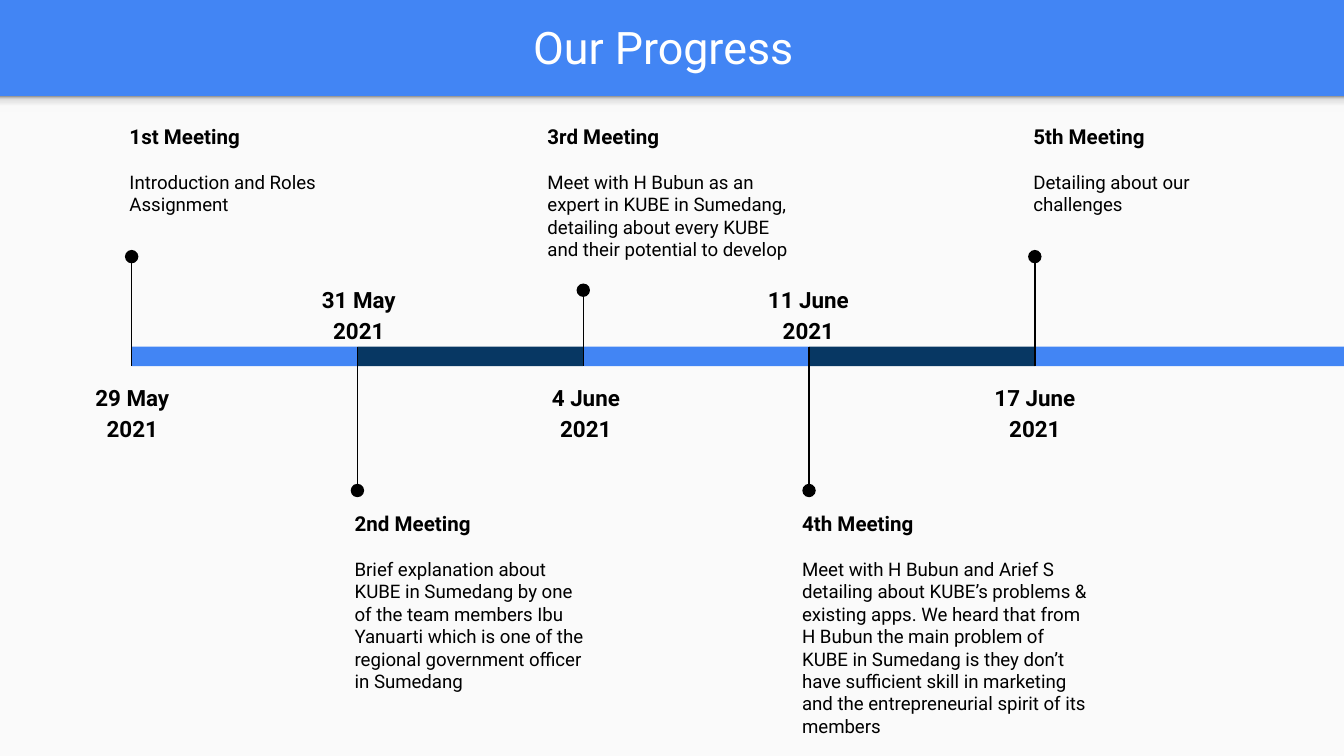
from dataclasses import dataclass
from lxml import etree
from pptx import Presentation
from pptx.dml.color import RGBColor
from pptx.enum.shapes import MSO_CONNECTOR, MSO_SHAPE
from pptx.enum.text import MSO_ANCHOR, PP_ALIGN
from pptx.oxml.ns import qn
from pptx.util import Pt

PX = 4572
PAGE_WIDTH, PAGE_HEIGHT = 2000, 1125
RECTANGLE, ELLIPSE = MSO_SHAPE.RECTANGLE, MSO_SHAPE.OVAL
STRAIGHT = MSO_CONNECTOR.STRAIGHT
CENTER, LEFT = PP_ALIGN.CENTER, PP_ALIGN.LEFT
TOP, MIDDLE = MSO_ANCHOR.TOP, MSO_ANCHOR.MIDDLE


@dataclass(frozen=True)
class Theme:
    """Colours, font and type sizes of the deck."""
    font: str = "Roboto"
    blue: str = "4285F4"
    navy: str = "073763"
    paper: str = "FAFAFA"
    ink: str = "000000"
    white: str = "FFFFFF"
    shade: tuple = ((0, "F9F9F9"), (36, "F9F9F9"), (80, "DEDEDE"), (100, "999999"))
    title: int = 24
    date: int = 12
    heading: int = 11
    body: int = 10


@dataclass(frozen=True)
class Meeting:
    """One milestone, with box positions relative to its bar."""
    heading: str
    body: str
    date: str
    note_left: int
    note_width: int
    date_left: int
    date_width: int
    dot_top: int


THEME = Theme()
ABOVE, ABOVE_LOW, BELOW = -144, -94, 204
BAR_LEFT, BAR_TOP, BAR_HEIGHT, BAR_STEP = 196, 516, 29, 336
DOT, INSET = 20, 20
MEETINGS = (
    Meeting("1st Meeting", "Introduction and Roles Assignment", "29 May 2021",
            -23, 390, -94, 190, ABOVE),
    Meeting("2nd Meeting", "Brief explanation about KUBE in Sumedang by one of the team "
            "members Ibu Yanuarti which is one of the regional government officer in Sumedang",
            "31 May 2021", -24, 390, -80, 164, BELOW),
    Meeting("3rd Meeting", "Meet with H Bubun as an expert in KUBE in Sumedang, detailing "
            "about every KUBE and their potential to develop",
            "4 June 2021", -73, 408, -72, 152, ABOVE_LOW),
    Meeting("4th Meeting", "Meet with H Bubun and Arief S detailing about KUBE’s problems & "
            "existing apps. We heard that from H Bubun the main problem of KUBE in Sumedang "
            "is they don’t have sufficient skill in marketing and the entrepreneurial spirit "
            "of its members", "11 June 2021", -30, 468, -83, 164, BELOW),
    Meeting("5th Meeting", "Detailing about our challenges", "17 June 2021",
            -22, 390, -82, 164, ABOVE),
)


def scaled(*lengths):
    """Turn px lengths into EMU."""
    return [length * PX for length in lengths]


def add_block(page, kind, box, color):
    """Add a plain filled shape without outline or shadow."""
    shape = page.shapes.add_shape(kind, *scaled(*box))
    shape.shadow.inherit = False
    shape.fill.solid()
    shape.fill.fore_color.rgb = RGBColor.from_string(color)
    shape.line.fill.background()
    return shape


def add_text(page, box, lines, align=LEFT, anchor=TOP, spacing=None, gap=0):
    """Add a wrapped text box of (text, size, bold, colour) paragraphs."""
    frame = page.shapes.add_textbox(*scaled(*box)).text_frame
    frame.word_wrap = True
    frame.vertical_anchor = anchor
    frame.margin_left = frame.margin_right = INSET * PX
    frame.margin_top = frame.margin_bottom = INSET * PX
    for index, (text, size, bold, color) in enumerate(lines):
        para = frame.add_paragraph() if index else frame.paragraphs[0]
        para.text = text
        para.alignment = align
        if spacing:
            para.line_spacing = spacing
        if index:
            para.space_before = Pt(gap)
        para.font.name = THEME.font
        para.font.size = Pt(size)
        para.font.bold = bold
        para.font.color.rgb = RGBColor.from_string(color)


def add_stem(page, x, start, end):
    """Add a thin vertical line."""
    stem = page.shapes.add_connector(STRAIGHT, *scaled(x, start, x, end))
    stem.line.color.rgb = RGBColor.from_string(THEME.ink)
    stem.line.width = Pt(0.75)
    etree.SubElement(stem._element.spPr, qn("a:effectLst"))


def add_header(page, left, top, width, height):
    """Place the title band, the paper below it and the shaded edge between."""
    bottom = top + height
    add_block(page, RECTANGLE, (left, bottom, width, PAGE_HEIGHT - bottom), THEME.paper)
    edge = add_block(page, RECTANGLE, (left, bottom, width, 24), THEME.paper)
    edge.fill.gradient()
    edge.fill.gradient_angle = 90
    stops = edge._element.spPr.find(qn("a:gradFill")).find(qn("a:gsLst"))
    for stop in list(stops):
        stops.remove(stop)
    for percent, color in THEME.shade:
        stop = etree.SubElement(stops, qn("a:gs"), pos=str(percent * 1000))
        etree.SubElement(stop, qn("a:srgbClr"), val=color)
    add_text(page, (left + 22, top + 4, width - 70, height - 11),
             [("Our Progress", THEME.title, False, THEME.white)], CENTER, MIDDLE)


def add_milestone(page, meeting, color, left, top, width, height):
    """Place a bar with its stem, dot, date and note."""
    below = meeting.dot_top > 0
    add_block(page, RECTANGLE, (left, top, width, height), color)
    dot_top = top + meeting.dot_top
    if below:
        add_stem(page, left, dot_top, top)
    else:
        add_stem(page, left, dot_top + DOT, top + height)
    add_block(page, ELLIPSE, (left - DOT // 2, dot_top, DOT, DOT), THEME.ink)
    date_top = top - 116 if below else top + height + 1
    add_text(page, (left + meeting.date_left, date_top, meeting.date_width, 82),
             [(meeting.date, THEME.date, True, THEME.ink)], CENTER, spacing=1.15)
    note_top = top + 224 if below else top - 352
    add_text(page, (left + meeting.note_left, note_top, meeting.note_width, 206),
             [(meeting.heading, THEME.heading, True, THEME.ink),
              (meeting.body, THEME.body, False, THEME.ink)], gap=12)


def add_timeline(page, left, top, width, height):
    """Place the milestones at equal steps, the last one filling the rest."""
    last = len(MEETINGS) - 1
    for index, meeting in enumerate(MEETINGS):
        offset = index * BAR_STEP
        bar_width = width - offset if index == last else BAR_STEP
        color = THEME.navy if index % 2 else THEME.blue
        add_milestone(page, meeting, color, left + offset, top, bar_width, height)


def main():
    """Build and save the deck."""
    deck = Presentation()
    deck.slide_width, deck.slide_height = scaled(PAGE_WIDTH, PAGE_HEIGHT)
    page = deck.slides.add_slide(deck.slide_layouts[6])
    page.background.fill.solid()
    page.background.fill.fore_color.rgb = RGBColor.from_string(THEME.blue)
    add_header(page, 0, 0, PAGE_WIDTH, 143)
    add_timeline(page, BAR_LEFT, BAR_TOP, PAGE_WIDTH - BAR_LEFT, BAR_HEIGHT)
    deck.save("out.pptx")


if __name__ == "__main__":
    main()
